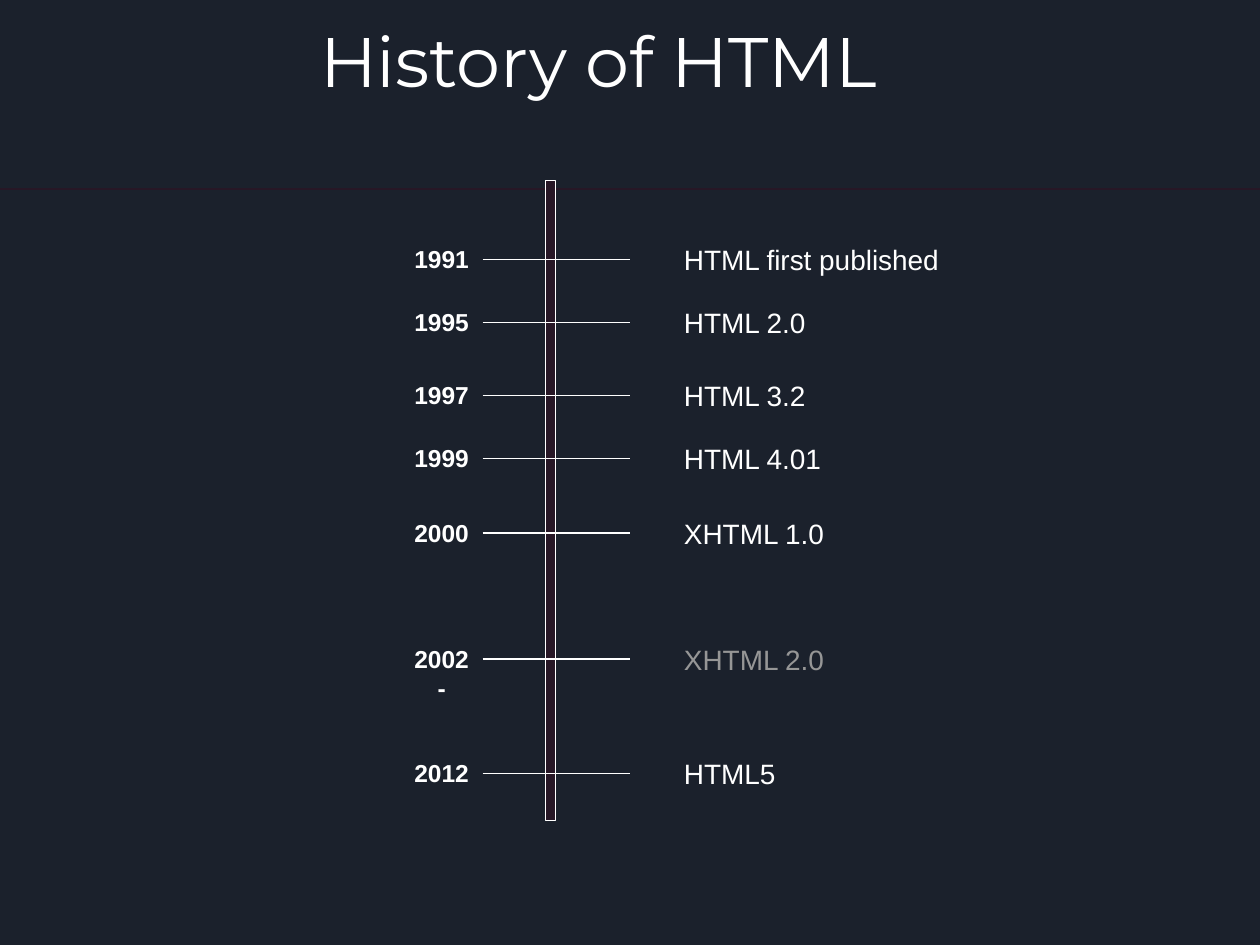
from dataclasses import dataclass

from lxml import etree
from pptx import Presentation
from pptx.dml.color import RGBColor
from pptx.enum.shapes import MSO_CONNECTOR, MSO_SHAPE
from pptx.enum.text import MSO_ANCHOR, MSO_AUTO_SIZE, PP_ALIGN
from pptx.oxml.ns import qn
from pptx.util import Inches, Pt


@dataclass(frozen=True)
class Theme:
    background: RGBColor = RGBColor(0x1B, 0x21, 0x2C)
    accent: RGBColor = RGBColor(0x27, 0x17, 0x26)
    light: RGBColor = RGBColor(0xFF, 0xFF, 0xFF)
    muted: RGBColor = RGBColor(0x96, 0x96, 0x96)
    title_font: str = "Montserrat"
    text_font: str = "Arial"
    title_size: Pt = Pt(40)
    event_size: Pt = Pt(16)
    year_size: Pt = Pt(14)


theme = Theme()


def write(box, words, font_name, size, color, bold=False,
          align=PP_ALIGN.LEFT, anchor=MSO_ANCHOR.TOP):
    frame = box.text_frame
    frame.word_wrap = True
    frame.auto_size = MSO_AUTO_SIZE.NONE
    frame.vertical_anchor = anchor
    paragraph = frame.paragraphs[0]
    paragraph.alignment = align
    run = paragraph.add_run()
    run.text = words
    run.font.name = font_name
    run.font.size = size
    run.font.bold = bold
    run.font.color.rgb = color


def draw_rule(shapes, left, right, y, color, width):
    rule = shapes.add_connector(MSO_CONNECTOR.STRAIGHT, Inches(left), Inches(y),
                                Inches(right), Inches(y))
    rule.line.color.rgb = color
    rule.line.width = width
    etree.SubElement(rule._element.spPr, qn("a:effectLst"))


presentation = Presentation()
presentation.slide_width = Inches(10)
presentation.slide_height = Inches(7.5)
slide = presentation.slides.add_slide(presentation.slide_layouts[5])
slide.background.fill.solid()
slide.background.fill.fore_color.rgb = theme.background

# Title and the rule below it
title = slide.shapes.title
title.left, title.top = Inches(0.25), Inches(0.09)
title.width, title.height = Inches(9), Inches(1)
write(title, "History of HTML", theme.title_font, theme.title_size, theme.light,
      align=PP_ALIGN.CENTER)
draw_rule(slide.shapes, 0, 10, 1.5, theme.accent, Pt(1.25))

# Timeline axis
timeline = slide.shapes.add_group_shape().shapes
axis = timeline.add_shape(MSO_SHAPE.RECTANGLE, Inches(4.33), Inches(1.43),
                          Inches(0.08), Inches(5.08))
axis.shadow.inherit = False
axis.fill.solid()
axis.fill.fore_color.rgb = theme.accent
axis.line.color.rgb = theme.light
axis.line.width = Pt(0.75)

# Milestones: year, tick and event, all placed from the height of the tick
milestones = [
    (2.06, "1991", "HTML first published", theme.light),
    (2.56, "1995", "HTML 2.0", theme.light),
    (3.14, "1997", "HTML 3.2", theme.light),
    (3.64, "1999", "HTML 4.01", theme.light),
    (4.23, "2000", "XHTML 1.0", theme.light),
    (5.23, "2002 -", "XHTML 2.0", theme.muted),
    (6.14, "2012", "HTML5", theme.light),
]
for tick_y, year, event, event_color in milestones:
    draw_rule(timeline, 3.83, 5, tick_y, theme.light, Pt(0.75))
    year_label = timeline.add_textbox(Inches(3.17), Inches(tick_y - 0.17),
                                      Inches(0.67), Inches(0.25))
    write(year_label, year, theme.text_font, theme.year_size, theme.light,
          bold=True, align=PP_ALIGN.CENTER)
    event_label = timeline.add_textbox(Inches(5.33), Inches(tick_y - 0.25),
                                       Inches(3.08), Inches(0.5))
    write(event_label, event, theme.text_font, theme.event_size, event_color,
          anchor=MSO_ANCHOR.MIDDLE)

presentation.save("out.pptx")
